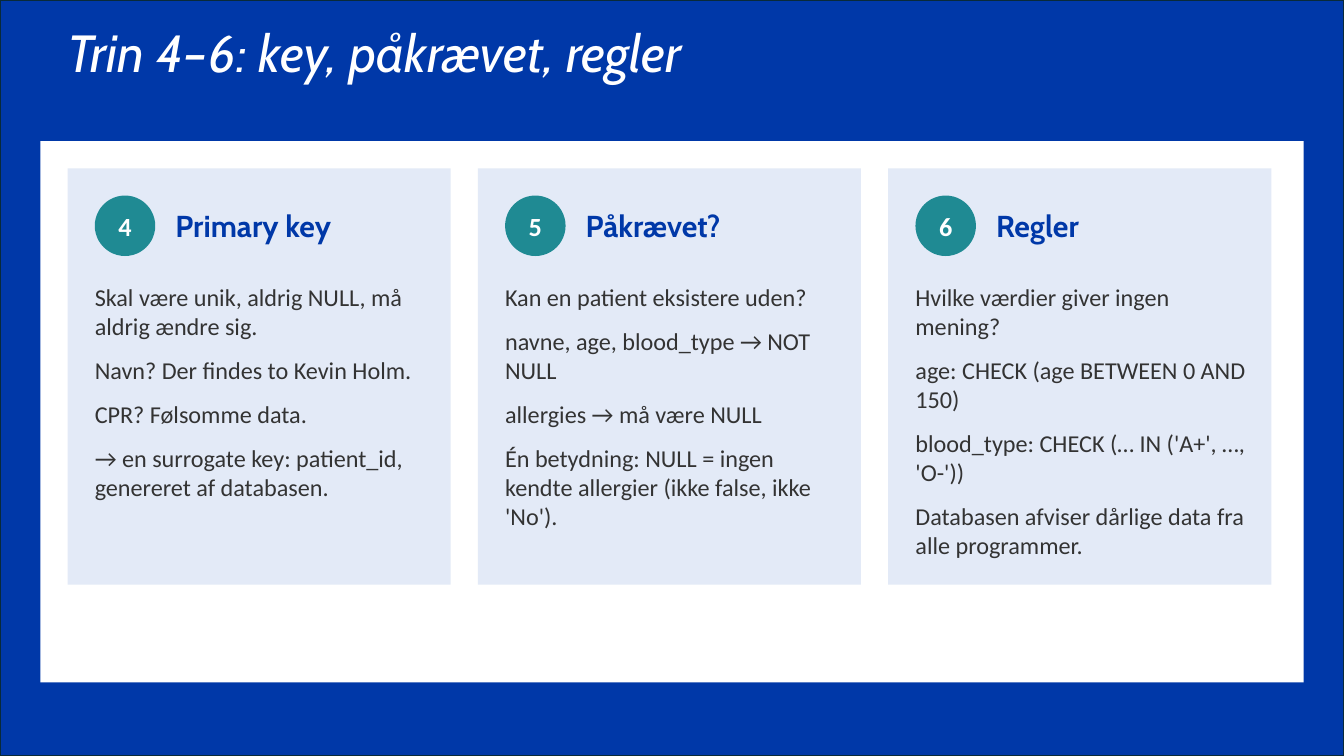
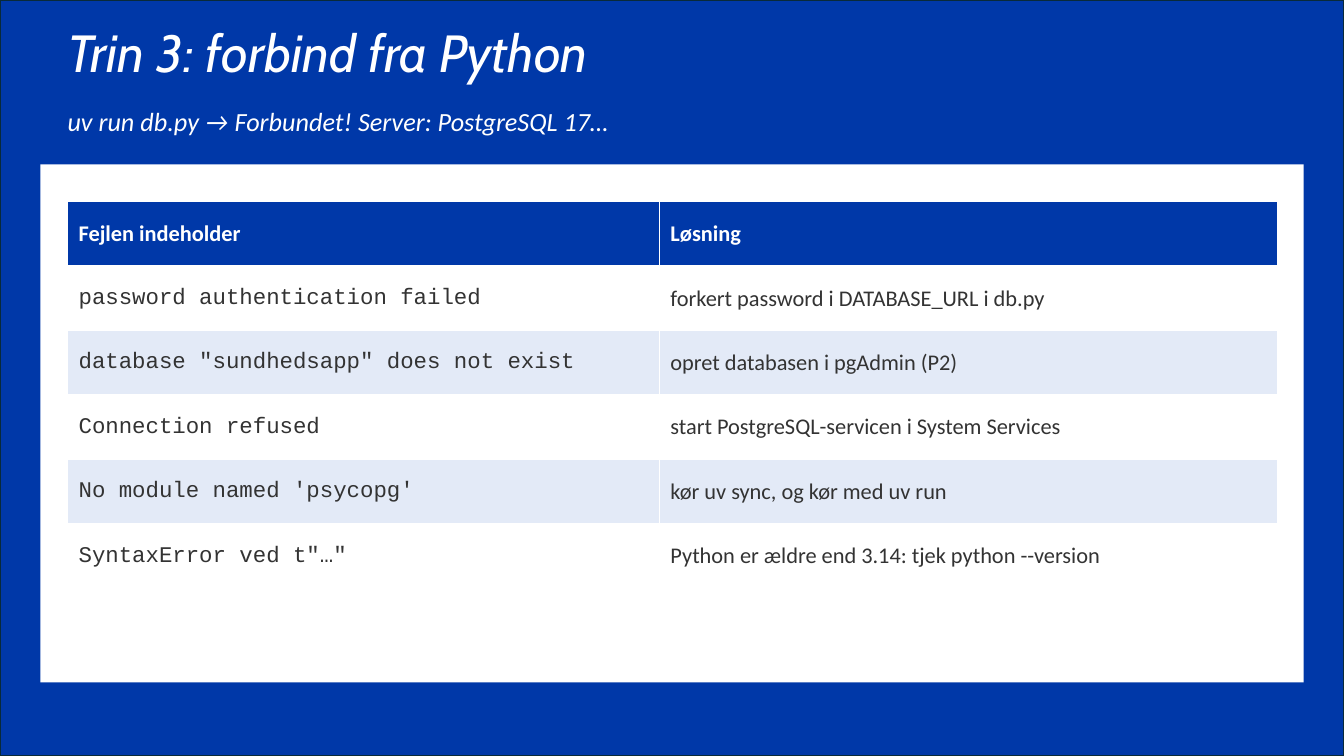
from dataclasses import dataclass

from pptx import Presentation
from pptx import util as u
from pptx.dml import color
from pptx.enum import shapes, text


@dataclass(frozen=True)
class Box:
    """A rectangle in inches."""

    left: float
    top: float
    width: float
    height: float

    def inner(self, left, top, width, height):
        """Return a box placed relative to this one."""
        return Box(self.left + left, self.top + top, width, height)

    def lengths(self):
        """Return the four lengths that python-pptx expects."""
        return [u.Inches(n) for n in (self.left, self.top, self.width, self.height)]


class Theme:
    """Colours, measures and text styles shared by the slides."""

    BLUE = "0038A8"
    EDGE = "092A39"
    WHITE = "FFFFFF"
    PALE = "E3EAF7"
    TEAL = "1F8A93"
    INK = "333333"
    PAGE = Box(0, 0, 13.33, 7.5)
    PANEL_BOTTOM = 6.77
    GAP = 0.27
    TITLE = {"name": "Cabin", "size": u.Pt(37.3), "italic": True, "color": WHITE}
    SUBTITLE = {"name": "Calibri", "size": u.Pt(18.7), "italic": True, "color": WHITE}
    NUMBER = {"name": "Calibri", "size": u.Pt(18.7), "bold": True, "color": WHITE}
    HEADING = {"name": "Cabin", "size": u.Pt(21.6), "bold": True, "color": BLUE}
    BODY = {"name": "Calibri", "size": u.Pt(17.3), "color": INK}
    TABLE_HEAD = {"name": "Calibri", "size": u.Pt(16), "bold": True, "color": WHITE}
    TABLE_TEXT = {"name": "Calibri", "size": u.Pt(16), "bold": False, "color": INK}
    TABLE_CODE = {**TABLE_TEXT, "name": "Courier New"}


STEPS = [
    ("4", "Primary key", [
        "Skal være unik, aldrig NULL, må aldrig ændre sig.",
        "Navn? Der findes to Kevin Holm.",
        "CPR? Følsomme data.",
        "→ en surrogate key: patient_id, genereret af databasen.",
    ]),
    ("5", "Påkrævet?", [
        "Kan en patient eksistere uden?",
        "navne, age, blood_type → NOT NULL",
        "allergies → må være NULL",
        "Én betydning: NULL = ingen kendte allergier (ikke false, ikke 'No').",
    ]),
    ("6", "Regler", [
        "Hvilke værdier giver ingen mening?",
        "age: CHECK (age BETWEEN 0 AND 150)",
        "blood_type: CHECK (… IN ('A+', …, 'O-'))",
        "Databasen afviser dårlige data fra alle programmer.",
    ]),
]

ERRORS = [
    ("Fejlen indeholder", "Løsning"),
    ("password authentication failed", "forkert password i DATABASE_URL i db.py"),
    ('database "sundhedsapp" does not exist', "opret databasen i pgAdmin (P2)"),
    ("Connection refused", "start PostgreSQL-servicen i System Services"),
    ("No module named 'psycopg'", "kør uv sync, og kør med uv run"),
    ('SyntaxError ved t"…"', "Python er ældre end 3.14: tjek python --version"),
]


def rgb(value):
    """Return a colour object for a hex value."""
    return color.RGBColor.from_string(value)


def style_font(font, style):
    """Apply a text style to a font."""
    for name, value in style.items():
        if name == "color":
            font.color.rgb = rgb(value)
        else:
            setattr(font, name, value)


def write(frame, lines, style, anchor=text.MSO_ANCHOR.TOP, **layout):
    """Fill a text frame with one paragraph per line."""
    settings = {"word_wrap": True, "vertical_anchor": anchor, "margin_left": 0,
                "margin_top": 0, "margin_right": 0, "margin_bottom": 0}
    for name, value in settings.items():
        setattr(frame, name, value)
    for index, line in enumerate(lines):
        paragraph = frame.add_paragraph() if index else frame.paragraphs[0]
        run = paragraph.add_run()
        run.text = line
        style_font(run.font, style)
        for name, value in layout.items():
            setattr(paragraph, name, value)


def add_text(slide, box, lines, style, **layout):
    """Add a text box."""
    shape = slide.shapes.add_textbox(*box.lengths())
    write(shape.text_frame, lines, style, **layout)


def add_block(slide, box, fill, kind=shapes.MSO_SHAPE.RECTANGLE):
    """Add a plain filled shape without an outline."""
    shape = slide.shapes.add_shape(kind, *box.lengths())
    shape.shadow.inherit = False
    shape.fill.solid()
    shape.fill.fore_color.rgb = rgb(fill)
    shape.line.fill.background()
    return shape


def add_frame(presentation, title, panel_top):
    """Add a slide with backdrop, title and white panel; return slide and panel box."""
    slide = presentation.slides.add_slide(presentation.slide_layouts[6])
    backdrop = add_block(slide, Theme.PAGE, Theme.BLUE)
    backdrop.line.color.rgb = rgb(Theme.EDGE)
    backdrop.line.width = u.Pt(1.5)
    add_text(slide, Theme.PAGE.inner(0.67, 0.27, 12, 0.73), [title], Theme.TITLE,
             line_spacing=0.9)
    panel = Theme.PAGE.inner(0.4, panel_top, 12.53, Theme.PANEL_BOTTOM - panel_top)
    add_block(slide, panel, Theme.WHITE)
    return slide, panel


def add_step_card(slide, card, number, heading, lines):
    """Add a card with numbered badge, heading and body text."""
    middle = text.MSO_ANCHOR.MIDDLE
    add_block(slide, card, Theme.PALE)
    badge = add_block(slide, card.inner(Theme.GAP, Theme.GAP, 0.6, 0.6), Theme.TEAL,
                      shapes.MSO_SHAPE.OVAL)
    write(badge.text_frame, [number], Theme.NUMBER, anchor=middle,
          alignment=text.PP_ALIGN.CENTER)
    add_text(slide, card.inner(1.07, Theme.GAP, 2.53, 0.6), [heading], Theme.HEADING,
             anchor=middle)
    add_text(slide, card.inner(Theme.GAP, 1.13, 3.33, 2.9), lines, Theme.BODY,
             space_after=u.Pt(10.7))


def add_error_table(slide, box, rows, column_widths):
    """Add a two-column table of errors and solutions."""
    table = slide.shapes.add_table(len(rows), len(column_widths), *box.lengths()).table
    for column, width in zip(table.columns, column_widths):
        column.width = u.Inches(width)
    for row_index, row in enumerate(rows):
        if row_index == 0:
            fill, styles = Theme.BLUE, (Theme.TABLE_HEAD, Theme.TABLE_HEAD)
        else:
            fill = Theme.WHITE if row_index % 2 else Theme.PALE
            styles = (Theme.TABLE_CODE, Theme.TABLE_TEXT)
        for column_index, (content, style) in enumerate(zip(row, styles)):
            cell = table.cell(row_index, column_index)
            cell.fill.solid()
            cell.fill.fore_color.rgb = rgb(fill)
            cell.vertical_anchor = text.MSO_ANCHOR.MIDDLE
            for side in ("left", "right"):
                setattr(cell, f"margin_{side}", u.Inches(0.11))
            for side in ("top", "bottom"):
                setattr(cell, f"margin_{side}", u.Inches(0.04))
            run = cell.text_frame.paragraphs[0].add_run()
            run.text = content
            style_font(run.font, style)


def build_steps_slide(presentation):
    """Build the slide with three step cards."""
    slide, panel = add_frame(presentation, "Trin 4–6: key, påkrævet, regler", 1.4)
    width = 3.8
    for index, step in enumerate(STEPS):
        left = Theme.GAP + index * (width + Theme.GAP)
        add_step_card(slide, panel.inner(left, Theme.GAP, width, 4.13), *step)


def build_errors_slide(presentation):
    """Build the slide with the error table."""
    slide, panel = add_frame(presentation, "Trin 3: forbind fra Python", 1.63)
    add_text(slide, Theme.PAGE.inner(0.67, 1.04, 12, 0.47),
             ["uv run db.py → Forbundet! Server: PostgreSQL 17…"], Theme.SUBTITLE)
    table_box = panel.inner(Theme.GAP, 0.37, 12, 0.64 * len(ERRORS))
    add_error_table(slide, table_box, ERRORS, (5.87, 6.13))


def main():
    """Build and save the presentation."""
    presentation = Presentation()
    presentation.slide_width = u.Inches(Theme.PAGE.width)
    presentation.slide_height = u.Inches(Theme.PAGE.height)
    build_steps_slide(presentation)
    build_errors_slide(presentation)
    presentation.save("out.pptx")


if __name__ == "__main__":
    main()
